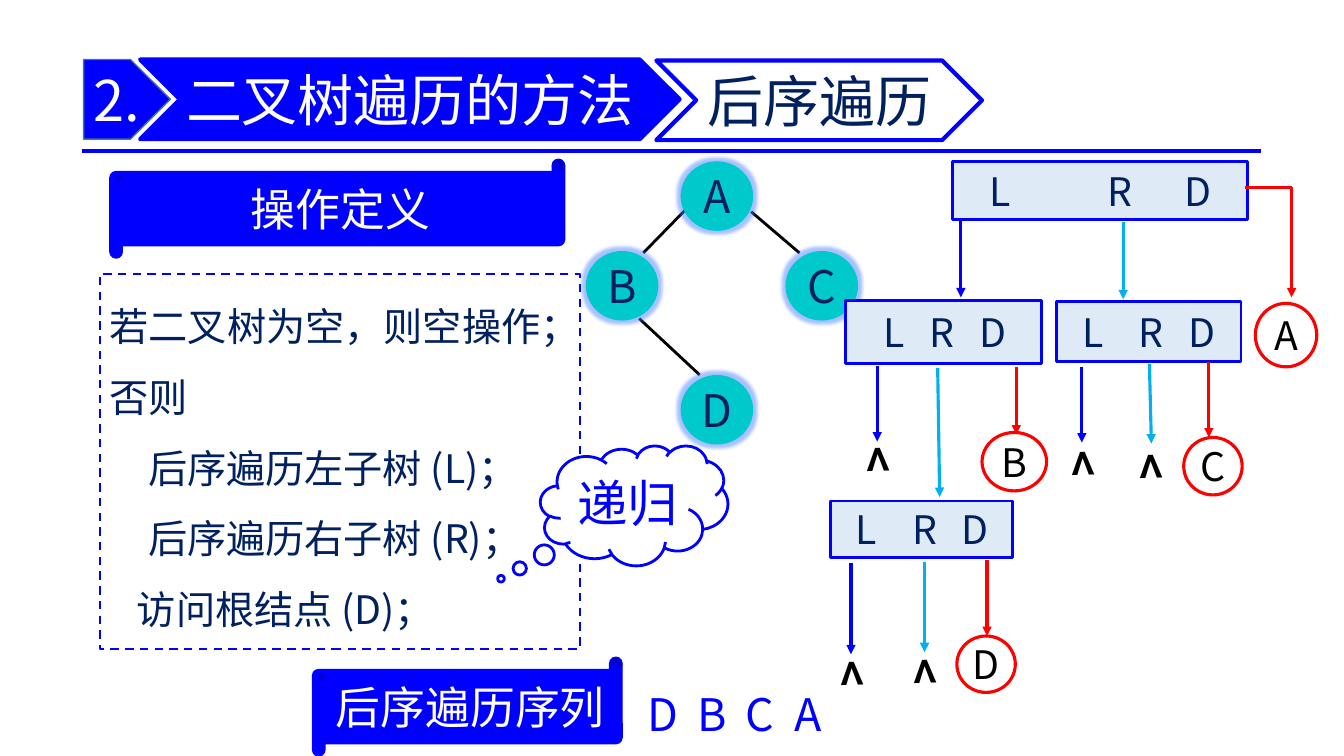
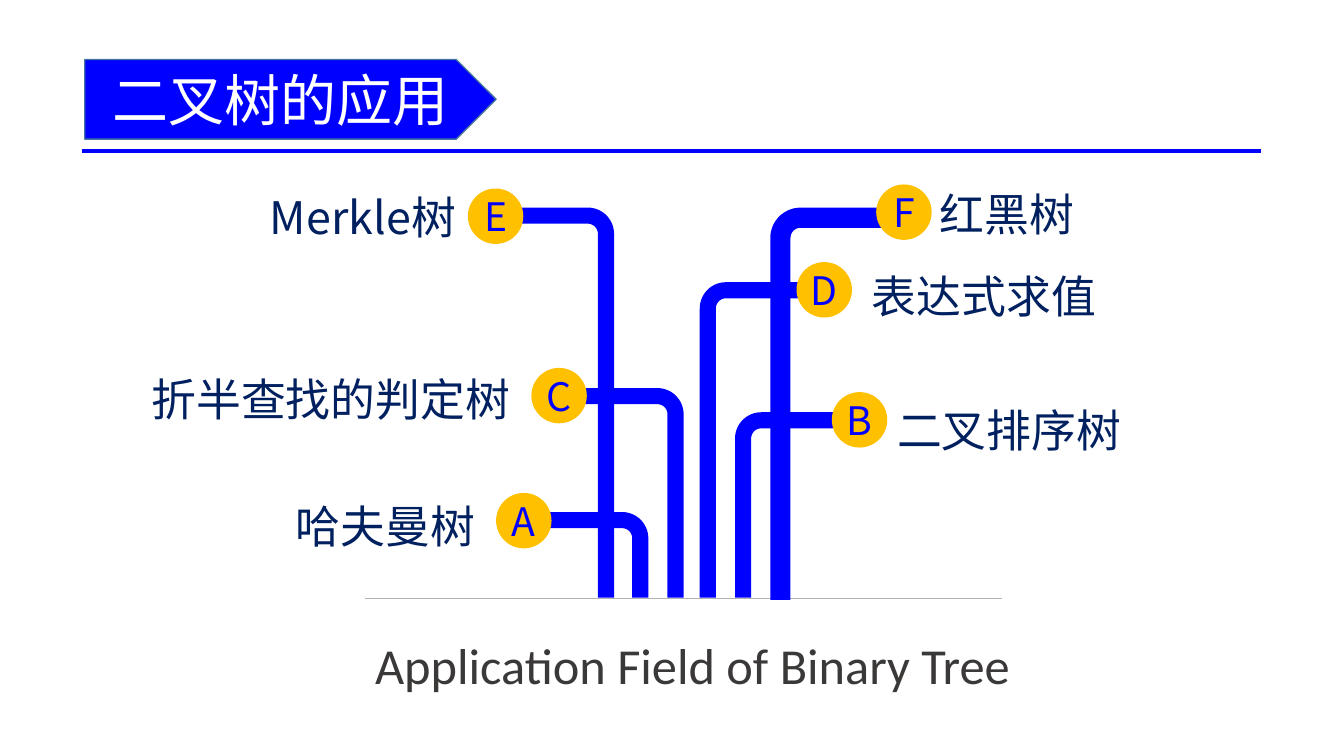
"""Builds two slides on post-order traversal and the uses of binary trees."""
import math

import lxml.etree
import pptx
import pptx.dml.color
import pptx.enum.shapes
import pptx.enum.text
import pptx.oxml.ns
import pptx.util

RGBColor = pptx.dml.color.RGBColor
BLUE = RGBColor(0x00, 0x00, 0xFF)
NAVY = RGBColor(0x00, 0x20, 0x60)
SKY = RGBColor(0x00, 0xB0, 0xF0)
PALE = RGBColor(0xDE, 0xEB, 0xF7)
STEEL = RGBColor(0x43, 0x73, 0x9E)
TEAL = RGBColor(0x00, 0xC9, 0xCB)
GOLD = RGBColor(0xFF, 0xC0, 0x00)
RED = RGBColor(0xFF, 0x00, 0x00)
GRAY = RGBColor(0xB2, 0xB2, 0xB2)
CHARCOAL = RGBColor(0x3B, 0x38, 0x38)
BLACK = RGBColor(0x00, 0x00, 0x00)
WHITE = RGBColor(0xFF, 0xFF, 0xFF)

FONT = "Noto Sans CJK SC"
SHAPE = pptx.enum.shapes.MSO_SHAPE
ALIGN = pptx.enum.text.PP_ALIGN
ANCHOR = pptx.enum.text.MSO_ANCHOR
EMU_PER_PX = 9144


def px(length):
    """Turn px, a hundred to the inch, into EMU."""
    return pptx.util.Emu(round(length * EMU_PER_PX))


def add_xml(parent, tag, **attributes):
    """Append a DrawingML element and return it."""
    return lxml.etree.SubElement(parent, pptx.oxml.ns.qn(tag), **attributes)


def style_paragraph(para, size, color, align=ALIGN.CENTER, spacing=None, font=FONT, bold=False):
    """Set the font, alignment and line spacing of a paragraph."""
    para.alignment = align
    para.line_spacing = spacing
    para.font.size = pptx.util.Pt(size)
    para.font.name = font
    para.font.bold = bold
    para.font.color.rgb = color
    add_xml(para.font._element, "a:ea", typeface=font)


def set_frame(shape, anchor=ANCHOR.MIDDLE, insets=(0, 0, 0, 0)):
    """Wrap the text of a shape, and set its anchor and insets."""
    frame = shape.text_frame
    frame.word_wrap = True
    frame.vertical_anchor = anchor
    frame.margin_left, frame.margin_top, frame.margin_right, frame.margin_bottom = map(px, insets)
    return frame


def write(shape, text, size, color, anchor=ANCHOR.MIDDLE, insets=(0, 0, 0, 0), **style):
    """Write one paragraph in a shape."""
    para = set_frame(shape, anchor, insets).paragraphs[0]
    para.text = text
    style_paragraph(para, size, color, **style)
    return para


def write_columns(shape, letters, centers, size, color):
    """Write letters centred on tab stops, measured from the left edge."""
    text = "".join("\t" + letter for letter in letters)
    para = write(shape, text, size, color, align=ALIGN.LEFT)
    stops = lxml.etree.Element(pptx.oxml.ns.qn("a:tabLst"))
    for center in centers:
        add_xml(stops, "a:tab", pos=str(px(center)), algn="ctr")
    para.font._element.addprevious(stops)


def paint(shape, fill, line=None, width=1):
    """Set the fill and outline of a shape, without shadow."""
    shape.shadow.inherit = False
    shape.fill.solid()
    shape.fill.fore_color.rgb = fill
    if line is None:
        shape.line.fill.background()
    else:
        shape.line.color.rgb = line
        shape.line.width = pptx.util.Pt(width)


def add_box(page, kind, place, fill, line=None, width=1):
    """Add a painted preset shape."""
    box = page.shapes.add_shape(kind, *map(px, place))
    paint(box, fill, line, width)
    return box


def add_text(page, place, text, size, color, **style):
    """Add a text box with one paragraph."""
    box = page.shapes.add_textbox(*map(px, place))
    write(box, text, size, color, **style)
    return box


def add_line(page, start, end, color, width, arrow=False):
    """Add a straight line, with an arrowhead at its end if asked."""
    straight = pptx.enum.shapes.MSO_CONNECTOR.STRAIGHT
    line = page.shapes.add_connector(straight, *map(px, start + end))
    line.line.color.rgb = color
    line.line.width = pptx.util.Pt(width)
    if arrow:
        add_xml(line.line._get_or_add_ln(), "a:tailEnd", type="triangle")
    add_xml(line._element.spPr, "a:effectLst")


def add_banner(page, kind, place, text, fill, line, width, color):
    """Add one arrow-shaped part of the title."""
    write(add_box(page, kind, place, fill, line, width), text, 40, color)


def add_page(deck):
    """Add a blank page with the rule under its title."""
    page = deck.slides.add_slide(deck.slide_layouts[6])
    add_line(page, (81, 150), (1251, 150), BLUE, 3)
    return page


def add_scroll(page, place, text):
    """Add a blue scroll heading."""
    write(add_box(page, SHAPE.HORIZONTAL_SCROLL, place, BLUE, BLUE), text, 32, WHITE)


def add_definition(page):
    """Add the dashed box that defines the traversal."""
    box = add_box(page, SHAPE.RECTANGLE, (99, 272, 476, 372), WHITE, BLUE, 1.5)
    box.line.dash_style = pptx.enum.dml.MSO_LINE.DASH
    frame = set_frame(box, ANCHOR.TOP, (10, 5, 0, 5))
    steps = (
        (0, "若二叉树为空，则空操作；"),
        (0, "否则"),
        (38, "后序遍历左子树 (L)；"),
        (38, "后序遍历右子树 (R)；"),
        (27, "访问根结点 (D)；"),
    )
    for index, (indent, text) in enumerate(steps):
        para = frame.add_paragraph() if index else frame.paragraphs[0]
        para.text = text
        style_paragraph(para, 28, NAVY, ALIGN.LEFT, 1.5)
        para._p.get_or_add_pPr().set("marL", str(px(indent)))


def add_tree(page):
    """Add the sample tree: edges first, then glowing nodes."""
    edges = (((679, 209), (638, 251)), ((745, 210), (793, 251)), ((634, 316), (694, 372)))
    for start, end in edges:
        add_line(page, start, end, BLACK, 2)
    for letter, left, top in (("A", 675, 160), ("B", 581, 249), ("C", 779, 249), ("D", 675, 372)):
        node = add_box(page, SHAPE.OVAL, (left, top, 72, 69), TEAL)
        effects = node._element.spPr.find(pptx.oxml.ns.qn("a:effectLst"))
        glow = add_xml(effects, "a:glow", rad=str(px(7)))
        add_xml(add_xml(glow, "a:srgbClr", val="4F81FF"), "a:alpha", val="50000")
        write(node, letter, 32, NAVY)


def add_calls(page):
    """Add the trace of recursive calls on the sample tree."""
    calls = (
        ((945, 160, 292, 58), (47, 166, 243)),
        ((839, 298, 194, 63), (48, 95, 146)),
        ((1048, 299, 183, 60), (36, 94, 144)),
        ((824, 497, 180, 56), (35, 93, 143)),
    )
    for place, centers in calls:
        box = add_box(page, SHAPE.RECTANGLE, place, PALE, BLUE, 2)
        write_columns(box, "LRD", centers, 28, NAVY)

    visits = (
        ("A", (1245, 301, 61, 63)),
        ("B", (974, 429, 64, 58)),
        ("C", (1174, 434, 58, 57)),
        ("D", (949, 631, 58, 56)),
    )
    for letter, place in visits:
        write(add_box(page, SHAPE.OVAL, place, WHITE, RED, 2.25), letter, 28, BLACK)

    arrows = {
        BLUE: ((953, 217, 953, 295), (870, 363, 870, 438), (1073, 364, 1073, 439),
               (844, 559, 844, 649)),
        SKY: ((1114, 220, 1114, 297), (930, 365, 932, 493), (1140, 361, 1142, 440),
              (917, 558, 917, 647)),
        RED: ((1281, 186, 1281, 295), (1008, 364, 1008, 431), (1199, 359, 1199, 434),
              (979, 556, 979, 631)),
    }
    for color, routes in arrows.items():
        for route in routes:
            add_line(page, route[:2], route[2:], color, 2.25, arrow=True)
    add_line(page, (1235, 186), (1281, 186), RED, 2.25)

    for x, y in ((870, 456), (1073, 460), (1141, 463), (844, 668), (917, 666)):
        null = add_text(page, (x - 30, y - 32, 60, 64), ">", 32, BLACK, bold=True)
        null.rotation = 268.3


def add_pipe(page, outer, top, side, reach, thickness, bottom):
    """Add a trunk that bends towards side (1 right, -1 left) with a round corner."""
    inner_radius = 10
    radius = inner_radius + thickness
    center_x, center_y = outer + side * radius, top + radius

    def bend(size, angles):
        return [(center_x - side * size * math.sin(math.radians(angle)),
                 center_y - size * math.cos(math.radians(angle))) for angle in angles]

    end = outer + side * reach
    inner = outer + side * thickness
    points = [(end, top), *bend(radius, range(0, 91, 6)), (outer, bottom), (inner, bottom),
              *bend(inner_radius, range(90, -1, -6)), (end, top + thickness)]
    points = [(px(x), px(y)) for x, y in points]
    builder = page.shapes.build_freeform(*points[0], scale=1.0)
    builder.add_line_segments(points[1:], close=True)
    paint(builder.convert_to_shape(), BLUE)


def build_traversal(deck):
    """Build the page on post-order traversal."""
    page = add_page(deck)
    add_banner(page, SHAPE.CHEVRON, (651, 60, 323, 79), "后序遍历", WHITE, BLUE, 3, NAVY)
    add_banner(page, SHAPE.PENTAGON, (83, 59, 86, 79), "2.", BLUE, STEEL, 1, WHITE)
    add_banner(page, SHAPE.CHEVRON, (139, 59, 535, 79), "二叉树遍历的方法", BLUE, BLUE, 3, WHITE)
    add_definition(page)
    add_scroll(page, (109, 158, 451, 98), "操作定义")
    add_tree(page)
    cloud = add_box(page, SHAPE.CLOUD_CALLOUT, (536, 442, 186, 119), WHITE, BLUE, 2)
    cloud.adjustments[0], cloud.adjustments[1] = -0.71, 0.61
    write(cloud, "递归", 36, BLUE)
    add_calls(page)
    add_scroll(page, (310, 652, 307, 98), "后序遍历序列")
    sequence = page.shapes.add_textbox(*map(px, (632, 676, 300, 64)))
    write_columns(sequence, "DBCA", [26 + 48 * index for index in range(4)], 32, BLUE)


def build_applications(deck):
    """Build the page on the uses of binary trees."""
    page = add_page(deck)
    add_banner(page, SHAPE.PENTAGON, (84, 59, 408, 79), "二叉树的应用", BLUE, STEEL, 1, WHITE)
    add_line(page, (362, 594), (994, 594), GRAY, 0.5)
    pipes = (
        (729, 409, 1, 99, 16, 593),
        (694, 280, 1, 99, 16, 593),
        (643, 508, -1, 99, 16, 593),
        (678, 385, -1, 99, 16, 593),
        (609, 206, -1, 99, 16, 593),
        (764, 206, 1, 119, 20, 595),
    )
    for pipe in pipes:
        add_pipe(page, *pipe)

    uses = (
        ("A", 492, 489, "哈夫曼树", (218, 479, 263, 75), ALIGN.RIGHT),
        ("B", 825, 389, "二叉排序树", (880, 386, 263, 69), ALIGN.LEFT),
        ("C", 527, 365, "折半查找的判定树", (139, 353, 377, 75), ALIGN.RIGHT),
        ("D", 790, 260, "表达式求值", (855, 253, 263, 69), ALIGN.LEFT),
        ("E", 464, 187, "Merkle树", (199, 175, 263, 69), ALIGN.RIGHT),
        ("F", 869, 183, "红黑树", (922, 172, 263, 69), ALIGN.LEFT),
    )
    for letter, left, top, label, place, align in uses:
        write(add_box(page, SHAPE.OVAL, (left, top, 55, 55), GOLD), letter, 28, BLUE)
        add_text(page, place, label, 32, NAVY, insets=(10, 5, 10, 5), align=align, spacing=1.2)
    add_text(page, (364, 603, 686, 98), "Application Field of Binary Tree", 36, CHARCOAL,
             anchor=ANCHOR.TOP, insets=(8, 8, 8, 0), align=ALIGN.JUSTIFY, spacing=1.3,
             font="Calibri")


def main():
    """Build the deck and save it."""
    deck = pptx.Presentation()
    deck.slide_width, deck.slide_height = px(1333), px(750)
    build_traversal(deck)
    build_applications(deck)
    deck.save("out.pptx")


if __name__ == "__main__":
    main()
